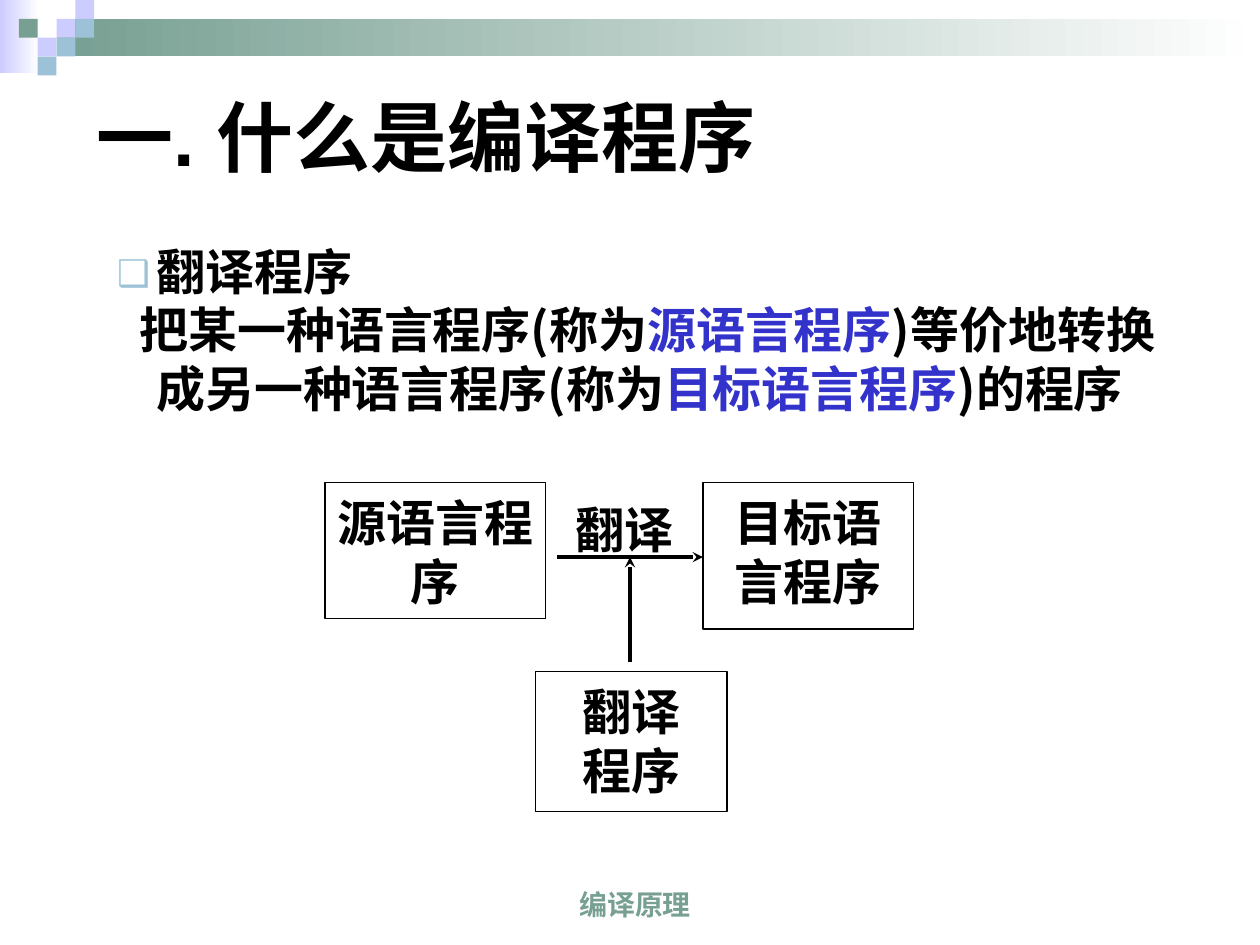
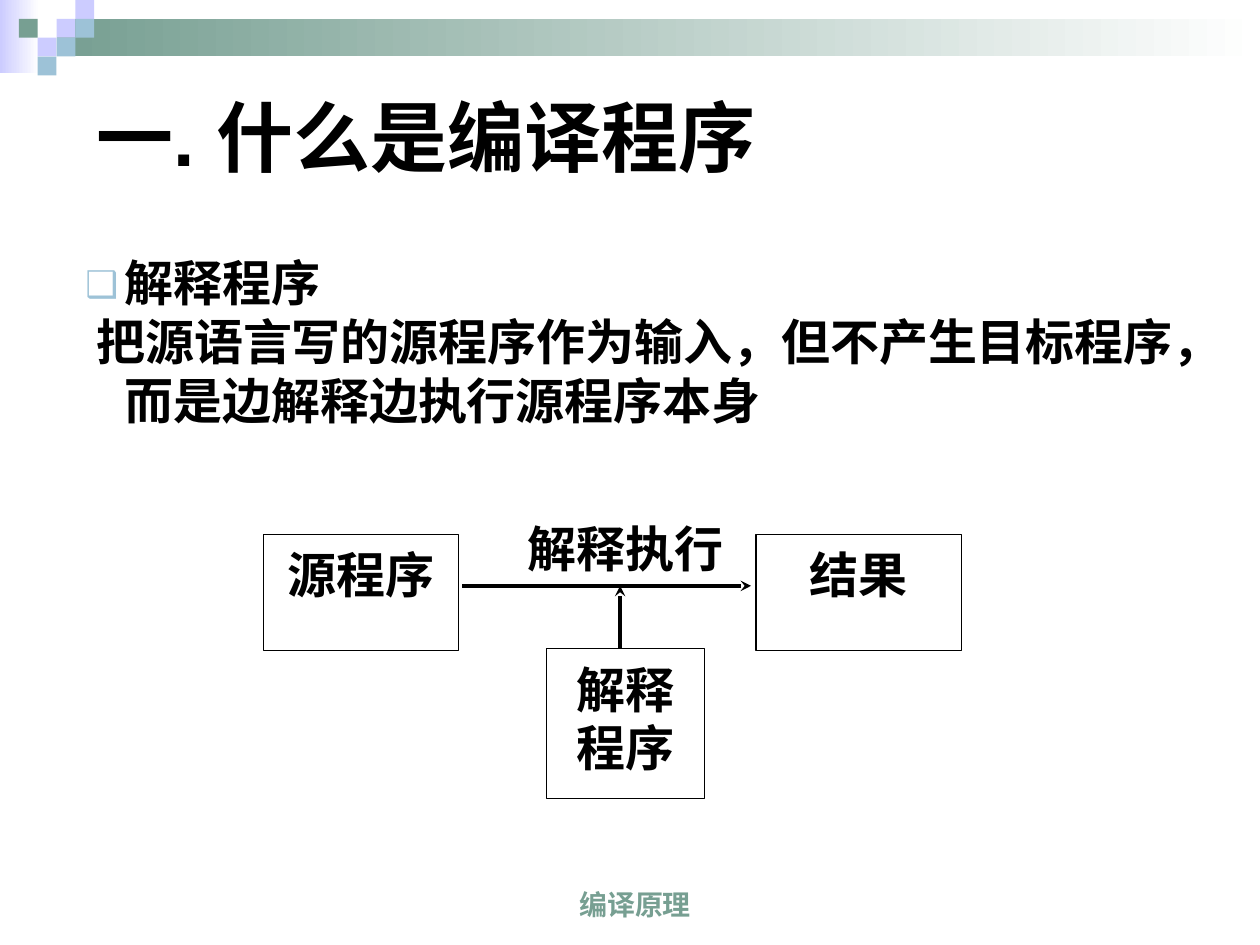
from dataclasses import dataclass

from lxml import etree
from pptx import Presentation
from pptx.dml.color import RGBColor
from pptx.enum import shapes, text
from pptx.oxml.ns import qn
from pptx.util import Cm, Pt


@dataclass(frozen=True)
class Theme:
    black: str = "000000"
    white: str = "FFFFFF"
    green: str = "779F92"
    lilac: str = "CCCCFF"
    sky: str = "9DC2D7"
    term: str = "3333CC"
    heading_font: str = "Arial"
    text_font: str = "Noto Sans CJK SC"
    title_size: int = 44
    text_size: int = 28
    footer_size: int = 16
    leading: float = 1.2


theme = Theme()
rgb = RGBColor.from_string

TITLE = "一. 什么是编译程序"
FOOTER = "编译原理"
CELL = 0.38  # side of one square in the corner mosaic
MOSAIC = [  # column, row, colour
    (3, 1, theme.lilac), (4, 0, theme.lilac), (4, 1, theme.sky), (2, 2, theme.lilac),
    (1, 1, theme.green), (3, 2, theme.sky), (2, 3, theme.sky),
]
GRADIENTS = [  # left, top, width, height, start colour
    (0, 0, 0.79, 1.47, theme.lilac),
    (3 * CELL, CELL, 25.4 - 3 * CELL, 2 * CELL, theme.green),
]

# Text is a list of (words, colour) runs; places are left, top, width, height in cm.
SLIDES = [
    {
        "body": (2.11, 4.65, 22.23, 5.0),
        "term": "翻译程序",
        "meaning": [
            ("把某一种语言程序(称为", theme.black), ("源语言程序", theme.term),
            (")等价地转换成另一种语言程序(称为", theme.black), ("目标语言程序", theme.term),
            (")的程序", theme.black),
        ],
        "first_line": -0.34,
        "boxes": [
            ("源语言程序", 6.55, 9.73, 4.45, 2.74),
            ("目标语言程序", 14.17, 9.73, 4.24, 2.95),
            ("翻译\n程序", 10.8, 13.54, 3.86, 2.82),
        ],
        "label": ("翻译", 11, 9.73, 3.18, 1.7),
        "arrows": [(11.23, 11.23, 14.17, 11.23), (12.7, 13.34, 12.7, 11.23)],
    },
    {
        "body": (1.47, 4.88, 23.29, 3.81),
        "term": "解释程序",
        "meaning": [
            ("把源语言写的源程序作为输入，但不产生目标程序，而是边解释边执行源程序本身", theme.black),
        ],
        "first_line": -0.57,
        "boxes": [
            ("源程序", 5.31, 10.77, 3.94, 2.34),
            ("结果", 15.24, 10.77, 4.14, 2.34),
            ("解释\n程序", 11.02, 13.08, 3.18, 3.02),
        ],
        "label": ("解释执行", 11.02, 10.13, 3.18, 1.7),
        "arrows": [(9.32, 11.81, 15.14, 11.81), (12.5, 13.08, 12.5, 11.81)],
    },
]


def style_runs(p, size, font, colors, align=text.PP_ALIGN.CENTER):
    """Format a paragraph and give its runs the colours in order."""
    p.alignment = align
    p.space_before = Pt(0)
    p.line_spacing = Pt(size * theme.leading)
    for r, color in zip(p.runs, colors):
        r.font.size = Pt(size)
        r.font.bold = True
        r.font.name = font
        r.font.color.rgb = rgb(color)
        etree.SubElement(r.font._element, qn("a:ea"), typeface=theme.text_font)


def set_frame(tf, anchor, wrap=True):
    """Fix the insets, anchor and wrapping of a text frame."""
    tf.auto_size = text.MSO_AUTO_SIZE.NONE
    tf.word_wrap = wrap
    tf.vertical_anchor = anchor
    tf.margin_left = tf.margin_right = Cm(0.25)
    tf.margin_top = Cm(0.21)
    tf.margin_bottom = Cm(0.06)


prs = Presentation()
prs.slide_width, prs.slide_height = Cm(25.4), Cm(19.05)
anchors = text.MSO_ANCHOR

for content in SLIDES:
    slide = prs.slides.add_slide(prs.slide_layouts[1])
    slide.background.fill.solid()
    slide.background.fill.fore_color.rgb = rgb(theme.white)

    # Top band and corner mosaic
    for *place, color in GRADIENTS:
        sp = slide.shapes.add_shape(shapes.MSO_SHAPE.RECTANGLE, *map(Cm, place))
        sp.shadow.inherit = False
        sp.line.fill.background()
        sp.fill.gradient()
        sp.fill.gradient_angle = 0
        for stop, stop_color in zip(sp.fill.gradient_stops, (color, theme.white)):
            stop.color.rgb = rgb(stop_color)
    for col, row, color in MOSAIC:
        sp = slide.shapes.add_shape(shapes.MSO_SHAPE.RECTANGLE, Cm(col * CELL),
                                    Cm(row * CELL), Cm(CELL), Cm(CELL))
        sp.shadow.inherit = False
        sp.line.fill.background()
        sp.fill.solid()
        sp.fill.fore_color.rgb = rgb(color)

    # Footer
    tf = slide.shapes.add_textbox(Cm(8.31), Cm(17.35), Cm(8.99), Cm(1.27)).text_frame
    set_frame(tf, anchors.BOTTOM)
    tf.text = FOOTER
    style_runs(tf.paragraphs[0], theme.footer_size, theme.heading_font, [theme.green])

    # Title
    title = slide.shapes.title
    title.left, title.top, title.width, title.height = map(Cm, (1.7, 1.07, 21.59, 3.18))
    set_frame(title.text_frame, anchors.MIDDLE)
    title.text_frame.text = TITLE
    style_runs(title.text_frame.paragraphs[0], theme.title_size, theme.heading_font,
               [theme.black], text.PP_ALIGN.LEFT)

    # Term and its meaning
    body = slide.placeholders[1]
    body.left, body.top, body.width, body.height = map(Cm, content["body"])
    tf = body.text_frame
    set_frame(tf, anchors.TOP)
    tf.text = content["term"]
    term, meaning = tf.paragraphs[0], tf.add_paragraph()
    for words, _ in content["meaning"]:
        meaning.add_run().text = words
    for p, indent in ((term, -0.79), (meaning, content["first_line"])):
        pPr = p._p.get_or_add_pPr()
        pPr.set("marL", str(Cm(0.79)))
        pPr.set("indent", str(Cm(indent)))
    pPr = term._p.pPr
    bullet_color = etree.SubElement(pPr, qn("a:buClr"))
    etree.SubElement(bullet_color, qn("a:srgbClr"), val=theme.sky)
    etree.SubElement(pPr, qn("a:buSzPct"), val="75000")
    etree.SubElement(pPr, qn("a:buFont"), typeface=theme.text_font)
    etree.SubElement(pPr, qn("a:buChar"), char="❑")
    etree.SubElement(meaning._p.pPr, qn("a:buNone"))
    style_runs(term, theme.text_size, theme.text_font, [theme.black], text.PP_ALIGN.LEFT)
    style_runs(meaning, theme.text_size, theme.text_font,
               [color for _, color in content["meaning"]], text.PP_ALIGN.LEFT)

    # Diagram
    for words, *place in content["boxes"]:
        sp = slide.shapes.add_shape(shapes.MSO_SHAPE.RECTANGLE, *map(Cm, place))
        sp.shadow.inherit = False
        sp.fill.background()
        sp.line.color.rgb = rgb(theme.black)
        sp.line.width = Pt(0.75)
        set_frame(sp.text_frame, anchors.TOP)
        sp.text_frame.text = words
        for p in sp.text_frame.paragraphs:
            style_runs(p, theme.text_size, theme.text_font, [theme.black])

    for ends in content["arrows"]:
        arrow = slide.shapes.add_connector(shapes.MSO_CONNECTOR.STRAIGHT, *map(Cm, ends))
        arrow.line.color.rgb = rgb(theme.black)
        arrow.line.width = Pt(2)
        spPr = arrow._element.spPr
        etree.SubElement(spPr.find(qn("a:ln")), qn("a:tailEnd"), type="stealth")
        etree.SubElement(spPr, qn("a:effectLst"))

    words, *place = content["label"]
    tf = slide.shapes.add_textbox(*map(Cm, place)).text_frame
    set_frame(tf, anchors.MIDDLE, wrap=False)
    tf.text = words
    style_runs(tf.paragraphs[0], theme.text_size, theme.text_font, [theme.black])

prs.save("out.pptx")
